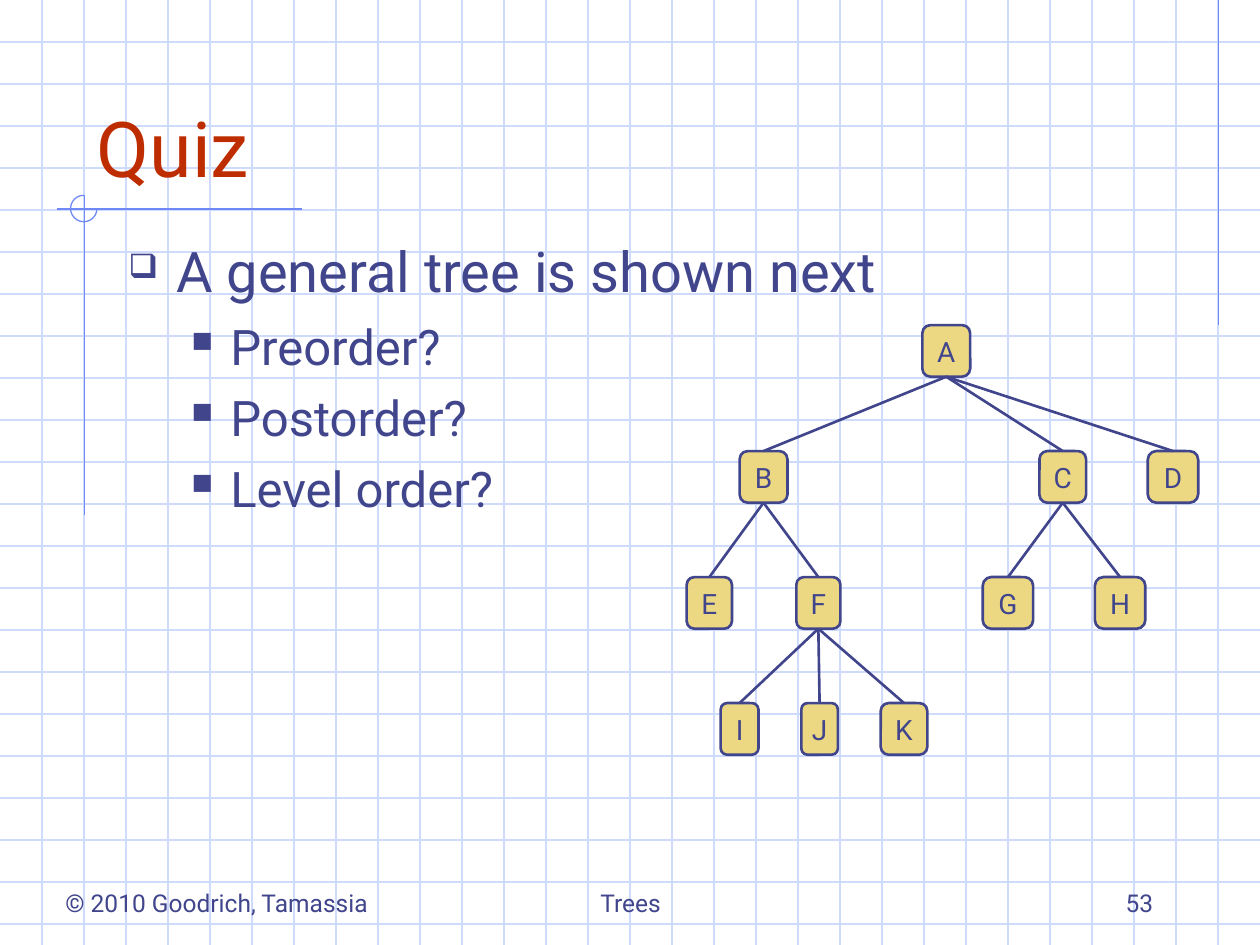
from lxml import etree
from pptx import Presentation
from pptx.dml.color import RGBColor
from pptx.enum.shapes import MSO_CONNECTOR, MSO_SHAPE
from pptx.enum.text import MSO_ANCHOR, PP_ALIGN
from pptx.oxml.ns import qn
from pptx.util import Inches, Pt

STRAIGHT = MSO_CONNECTOR.STRAIGHT
ARC, ROUNDED = MSO_SHAPE.ARC, MSO_SHAPE.ROUNDED_RECTANGLE
BOTTOM, MIDDLE, TOP = MSO_ANCHOR.BOTTOM, MSO_ANCHOR.MIDDLE, MSO_ANCHOR.TOP
LEFT, CENTER, RIGHT = PP_ALIGN.LEFT, PP_ALIGN.CENTER, PP_ALIGN.RIGHT

WIDTH, HEIGHT, GRID = 10, 7.5, 1 / 3
BOTTOM_SIDE, TOP_SIDE = 2, 0


def color(hex_string):
    return RGBColor.from_string(hex_string)


class SlideBuilder:
    font_name = "Roboto"
    ink = "40458C"
    title_ink = "BE2D00"
    grid_ink = "CFDBFD"
    accent = "6F89F7"
    node_fill = "ECD882"

    def __init__(self, slide):
        self.slide = slide

    def style(self, paragraph, size, ink=None, align=LEFT):
        paragraph.alignment = align
        font = paragraph.font
        font.name, font.size = self.font_name, Pt(size)
        font.color.rgb = color(ink or self.ink)

    def line(self, x1, y1, x2, y2, ink, weight=0.75):
        connector = self.slide.shapes.add_connector(
            STRAIGHT, Inches(x1), Inches(y1), Inches(x2), Inches(y2))
        connector.line.color.rgb = color(ink)
        connector.line.width = Pt(weight)
        etree.SubElement(connector._element.spPr, qn("a:effectLst"))
        return connector

    def edge(self, parent, child):
        connector = self.line(0, 0, 0, 0, self.ink, 1.5)
        connector.begin_connect(parent, BOTTOM_SIDE)
        connector.end_connect(child, TOP_SIDE)

    def arc(self, left, top, size):
        shape = self.slide.shapes.add_shape(
            ARC, Inches(left), Inches(top), Inches(size), Inches(size))
        shape.shadow.inherit = False
        shape.fill.background()
        shape.line.color.rgb = color(self.accent)
        shape.line.width = Pt(0.75)
        # Three quarters of a circle, from the right clockwise to the top
        shape.adjustments[0], shape.adjustments[1] = 0, 162

    def node(self, label, left, top, width, height=0.41):
        shape = self.slide.shapes.add_shape(
            ROUNDED, Inches(left), Inches(top), Inches(width), Inches(height))
        shape.shadow.inherit = False
        shape.adjustments[0] = 0.17
        shape.fill.solid()
        shape.fill.fore_color.rgb = color(self.node_fill)
        shape.line.color.rgb = color(self.ink)
        shape.line.width = Pt(1.5)
        frame = shape.text_frame
        frame.word_wrap = False
        frame.vertical_anchor = MIDDLE
        frame.text = label
        self.style(frame.paragraphs[0], 16, align=CENTER)
        return shape

    def text_frame(self, left, top, width, height, anchor):
        box = self.slide.shapes.add_textbox(
            Inches(left), Inches(top), Inches(width), Inches(height))
        frame = box.text_frame
        frame.word_wrap = True
        frame.vertical_anchor = anchor
        return frame

    def text(self, content, left, top, width, height, size, ink=None, align=LEFT):
        frame = self.text_frame(left, top, width, height, BOTTOM)
        frame.text = content
        self.style(frame.paragraphs[0], size, ink, align)

    def bullet(self, paragraph, symbol, margin, hanging):
        properties = paragraph._p.get_or_add_pPr()
        properties.set("marL", str(Inches(margin)))
        properties.set("indent", str(-Inches(hanging)))
        bullet_color = etree.SubElement(properties, qn("a:buClr"))
        etree.SubElement(bullet_color, qn("a:srgbClr"), val=self.ink)
        etree.SubElement(properties, qn("a:buSzPct"), val="60000")
        etree.SubElement(properties, qn("a:buChar"), char=symbol)

    def bullet_list(self, heading, items, left, top, width, height):
        frame = self.text_frame(left, top, width, height, TOP)
        frame.text = "\n".join([heading, *items])
        first, *others = frame.paragraphs
        self.bullet(first, "❑", 0.38, 0.38)
        self.style(first, 32)
        for paragraph in others:
            paragraph.level = 1
            self.bullet(paragraph, "■", 0.81, 0.31)
            paragraph.space_before = Pt(7)
            self.style(paragraph, 28)


def main():
    presentation = Presentation()
    presentation.slide_width = Inches(WIDTH)
    presentation.slide_height = Inches(HEIGHT)
    builder = SlideBuilder(presentation.slides.add_slide(presentation.slide_layouts[6]))

    # Graph paper
    for row in range(1, 23):
        builder.line(0, row * GRID, WIDTH, row * GRID, builder.grid_ink)
    for column in range(1, 30):
        builder.line(column * GRID, 0, column * GRID, HEIGHT, builder.grid_ink)

    # Accent lines and crosshair
    builder.line(9.67, 0, 9.67, 2.58, builder.accent)
    builder.line(0.45, 1.66, 2.4, 1.66, builder.accent)
    builder.line(0.67, 1.55, 0.67, 4.09, builder.accent)
    builder.arc(0.56, 1.55, 0.21)

    # Title, footer and questions
    builder.text("Quiz", 0.67, 0.33, 8.5, 1.25, 44, builder.title_ink)
    for content, left, width, align in [
        ("© 2010 Goodrich, Tamassia", 0.42, 2.75, LEFT),
        ("Trees", 3.42, 3.17, CENTER),
        ("53", 7.17, 2.08, RIGHT),
    ]:
        builder.text(content, left, 6.83, width, 0.5, 14, align=align)
    builder.bullet_list("A general tree is shown next",
                        ["Preorder?", "Postorder?", "Level order?"],
                        0.92, 1.83, 8.5, 4.75)

    # Tree nodes: left and width, level by level
    levels = [
        {"A": (7.32, 0.38)},
        {"B": (5.87, 0.38), "C": (8.25, 0.37), "D": (9.11, 0.4)},
        {"E": (5.45, 0.36), "F": (6.32, 0.35), "G": (7.8, 0.4), "H": (8.69, 0.4)},
        {"I": (5.72, 0.3), "J": (6.36, 0.29), "K": (6.99, 0.37)},
    ]
    nodes = {}
    for depth, level in enumerate(levels):
        for label, (left, width) in level.items():
            nodes[label] = builder.node(label, left, 2.58 + depth, width)

    # Tree edges
    for parent, children in {"A": "BCD", "B": "EF", "C": "GH", "F": "IJK"}.items():
        for child in children:
            builder.edge(nodes[parent], nodes[child])

    presentation.save("out.pptx")


if __name__ == "__main__":
    main()
